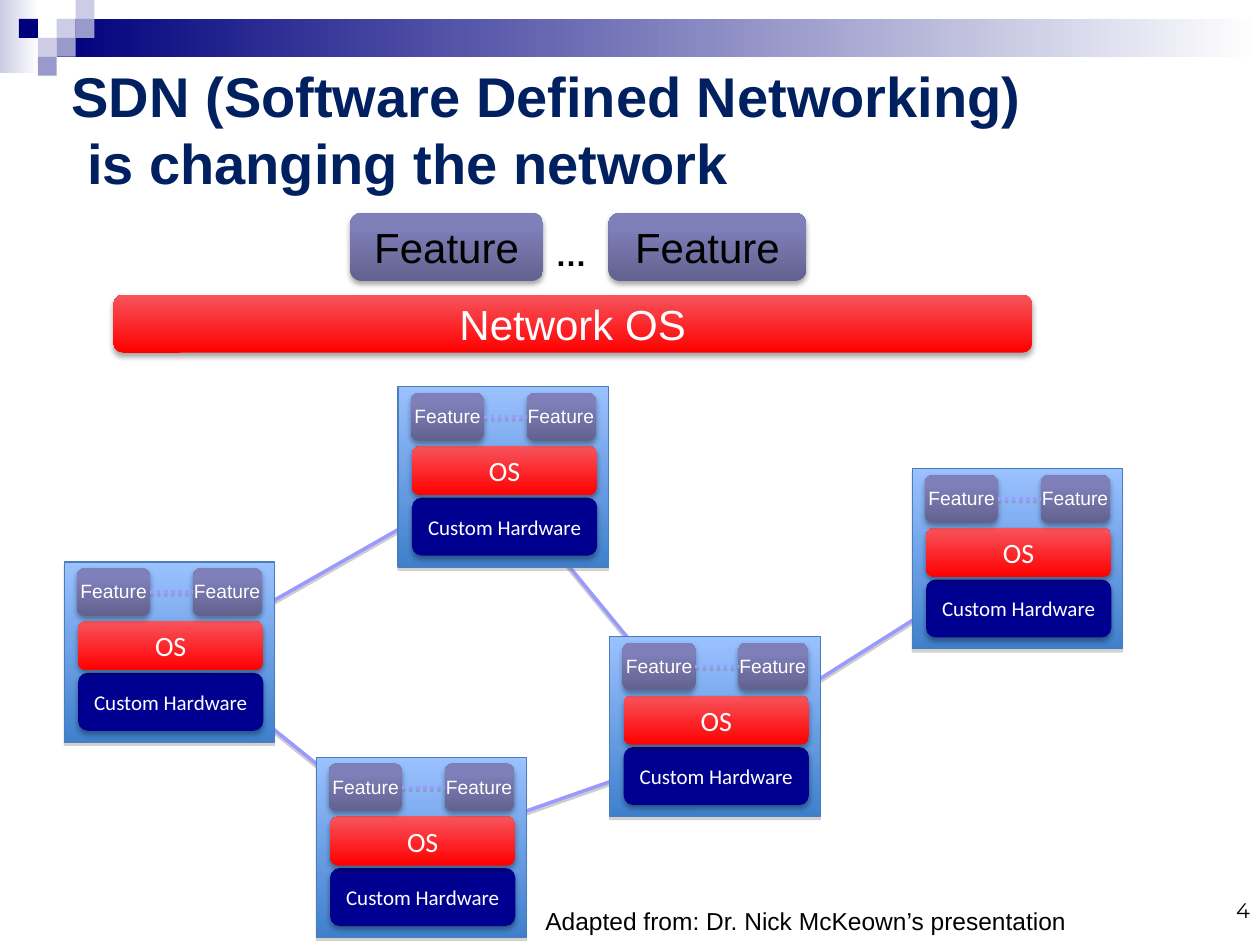
from dataclasses import dataclass
from typing import Optional

import lxml.etree
import pptx
import pptx.dml.color
import pptx.enum.dml
import pptx.enum.shapes
import pptx.enum.text
import pptx.oxml.ns
import pptx.util

SLIDE_WIDTH = pptx.util.Inches(10)
SLIDE_HEIGHT = pptx.util.Inches(7.5)
COLUMN = SLIDE_WIDTH / 100
ROW = SLIDE_HEIGHT / 75
SQUARE = 1.5

RECTANGLE = pptx.enum.shapes.MSO_SHAPE.RECTANGLE
ROUNDED = pptx.enum.shapes.MSO_SHAPE.ROUNDED_RECTANGLE
ALIGN = pptx.enum.text.PP_ALIGN
ANCHOR = pptx.enum.text.MSO_ANCHOR


@dataclass(frozen=True)
class Area:
    column: float
    row: float
    columns: float
    rows: float

    def lengths(self) -> tuple:
        return (round(self.column * COLUMN), round(self.row * ROW),
                round(self.columns * COLUMN), round(self.rows * ROW))


@dataclass(frozen=True)
class Shadow:
    color: str
    opacity: int
    blur: float
    distance: float


@dataclass(frozen=True)
class Look:
    stops: tuple
    angle: int = 0
    outline: Optional[str] = None
    shadow: Optional[Shadow] = None


@dataclass(frozen=True)
class Switch:
    column: float
    row: float
    hub_column: float
    hub_row: float

    def area(self, column: float, row: float, columns: float, rows: float) -> Area:
        return Area(self.column + column, self.row + row, columns, rows)


SOFT = Shadow("000000", 35, 3.1, 1.8)
HARD = Shadow("808080", 35, 0, 1.8)
LINE_SHADOW = Shadow("808080", 38, 0, 1.6)

BOX = Look(((0, "9BC1FF"), (100, "3F80CD")), 90, "4A7EBB", HARD)
HARDWARE = Look(((0, "000090"),), shadow=SOFT)
SYSTEM = Look(((0, "FF0000"), (100, "F7545C")), 270, shadow=SOFT)
FEATURE = Look(((0, "62628F"), (80, "7F7FBA"), (100, "7E7EBC")), 270, shadow=SOFT)

LEFT = Switch(5.1, 44.6, 14.3, 51.9)
TOP = Switch(31.6, 30.7, 39.2, 37.7)
RIGHT = Switch(72.4, 37.2, 80.7, 44)
BOTTOM = Switch(25.1, 60.1, 33.4, 67.3)
MIDDLE = Switch(48.4, 50.5, 56.8, 59.1)
SWITCHES = (LEFT, TOP, RIGHT, BOTTOM, MIDDLE)
LINKS = ((LEFT, TOP), (TOP, MIDDLE), (BOTTOM, MIDDLE), (LEFT, BOTTOM), (MIDDLE, RIGHT))

HEADER_BARS = (
    (Area(0, 0, 3.1, 5.8), "CCCCE6"),
    (Area(4.5, 1.5, 95.5, 3), "00007D"),
)
HEADER_SQUARES = (
    (3, 1, "CCCCE6"), (4, 0, "CCCCE6"), (4, 1, "9999CC"), (2, 2, "CCCCE6"),
    (1, 1, "00007D"), (3, 2, "9999CC"), (2, 3, "9999CC"),
)


def rgb(color: str) -> pptx.dml.color.RGBColor:
    return pptx.dml.color.RGBColor.from_string(color)


def add_element(parent, tag: str, **attributes):
    element = lxml.etree.SubElement(parent, pptx.oxml.ns.qn(tag))
    for name, value in attributes.items():
        element.set(name, str(value))
    return element


def cast_shadow(effects, shadow: Shadow) -> None:
    outer = add_element(effects, "a:outerShdw", blurRad=pptx.util.Pt(shadow.blur),
                        dist=pptx.util.Pt(shadow.distance), dir=90 * 60000, rotWithShape=0)
    color = add_element(outer, "a:srgbClr", val=shadow.color)
    add_element(color, "a:alpha", val=shadow.opacity * 1000)


def paint(fill, look: Look) -> None:
    if len(look.stops) == 1:
        fill.solid()
        fill.fore_color.rgb = rgb(look.stops[0][1])
        return
    fill.gradient()
    fill.gradient_angle = (360 - look.angle) % 360
    stop_list = fill.gradient_stops[0]._gs.getparent()
    for stop in list(stop_list):
        stop_list.remove(stop)
    for position, color in look.stops:
        stop = add_element(stop_list, "a:gs", pos=position * 1000)
        add_element(stop, "a:srgbClr", val=color)


def write(shape, text: str, *, size: float, color: str, font: str = "Arial",
          bold: bool = False, align=ALIGN.LEFT, anchor=ANCHOR.TOP, wrap: bool = True) -> None:
    frame = shape.text_frame
    frame.word_wrap = wrap
    frame.vertical_anchor = anchor
    paragraph = frame.paragraphs[0]
    paragraph.text = text
    paragraph.alignment = align
    for run in paragraph.runs:
        run.font.name = font
        run.font.size = pptx.util.Pt(size)
        run.font.bold = bold
        run.font.color.rgb = rgb(color)


def add_block(shapes, area: Area, look: Look, kind=ROUNDED, text: str = "", **text_format):
    shape = shapes.add_shape(kind, *area.lengths())
    shape.shadow.inherit = False
    paint(shape.fill, look)
    if look.outline:
        shape.line.color.rgb = rgb(look.outline)
        shape.line.width = pptx.util.Pt(0.75)
    else:
        shape.line.fill.background()
    if look.shadow:
        cast_shadow(shape._element.spPr.find(pptx.oxml.ns.qn("a:effectLst")), look.shadow)
    if text:
        write(shape, text, align=ALIGN.CENTER, anchor=ANCHOR.MIDDLE, **text_format)
    return shape


def add_label(shapes, area: Area, text: str, **text_format) -> None:
    write(shapes.add_textbox(*area.lengths()), text, **text_format)


def add_link(shapes, start: tuple, end: tuple, dotted: bool = False) -> None:
    points = [round(value * unit) for point in (start, end)
              for value, unit in zip(point, (COLUMN, ROW))]
    connector = shapes.add_connector(pptx.enum.shapes.MSO_CONNECTOR.STRAIGHT, *points)
    connector.line.color.rgb = rgb("9999FF")
    connector.line.width = pptx.util.Pt(2)
    if dotted:
        connector.line.dash_style = pptx.enum.dml.MSO_LINE.ROUND_DOT
    cast_shadow(add_element(connector._element.spPr, "a:effectLst"), LINE_SHADOW)


def add_header(shapes) -> None:
    for area, color in HEADER_BARS:
        add_block(shapes, area, Look(((0, color), (100, "FFFFFF"))), RECTANGLE)
    for column, row, color in HEADER_SQUARES:
        area = Area(column * SQUARE, row * SQUARE, SQUARE, SQUARE)
        add_block(shapes, area, Look(((0, color),)), RECTANGLE)


def add_switch(shapes, switch: Switch) -> None:
    add_block(shapes, switch.area(0, 0, 16.7, 14.3), BOX, RECTANGLE)
    add_block(shapes, switch.area(1.1, 8.8, 14.7, 4.6), HARDWARE,
              text="Custom Hardware", size=12, font="Calibri", color="FFFFFF")
    add_block(shapes, switch.area(1.1, 4.7, 14.7, 3.9), SYSTEM,
              text="OS", size=16, font="Calibri", color="FFFFFF")
    group = shapes.add_group_shape().shapes
    for column, columns in ((1, 5.8), (10.2, 5.5)):
        add_block(group, switch.area(column, 0.5, columns, 3.8), FEATURE)
    dots_row = switch.row + 2.4
    add_link(group, (switch.column + 6.8, dots_row), (switch.column + 10.2, dots_row), True)
    for column in (0.3, 9.3):
        add_label(group, switch.area(column, 0.9, 7.3, 2.9), "Feature",
                  size=11, color="FFFFFF", wrap=False)


def main() -> None:
    presentation = pptx.Presentation()
    presentation.slide_width = SLIDE_WIDTH
    presentation.slide_height = SLIDE_HEIGHT
    shapes = presentation.slides.add_slide(presentation.slide_layouts[6]).shapes

    add_header(shapes)
    for start, end in LINKS:
        add_link(shapes, (start.hub_column, start.hub_row), (end.hub_column, end.hub_row))
    add_block(shapes, Area(9, 23.4, 72.9, 4.6), SYSTEM,
              text="Network OS", size=24, color="FFFFFF")
    features = shapes.add_group_shape().shapes
    for column, columns in ((27.8, 15.3), (48.3, 15.7)):
        add_block(features, Area(column, 16.9, columns, 5.4), FEATURE,
                  text="Feature", size=24, color="000000")
    add_label(shapes, Area(4.7, 3.6, 92.5, 13.2),
              "SDN (Software Defined Networking)\v is changing the network",
              size=32, color="002060", bold=True, anchor=ANCHOR.MIDDLE)
    for switch in SWITCHES:
        add_switch(shapes, switch)
    add_label(shapes, Area(42.3, 71.4, 43.6, 3.4),
              "Adapted from: Dr. Nick McKeown’s presentation",
              size=14, color="000000", wrap=False)
    add_label(shapes, Area(43.1, 18.2, 4, 4), "…",
              size=18, color="000000", bold=True, wrap=False)
    add_label(shapes, Area(76.9, 71.1, 23.3, 2.6), "4", size=12, font="Montserrat",
              color="000000", align=ALIGN.RIGHT, anchor=ANCHOR.BOTTOM)
    presentation.save("out.pptx")


if __name__ == "__main__":
    main()
